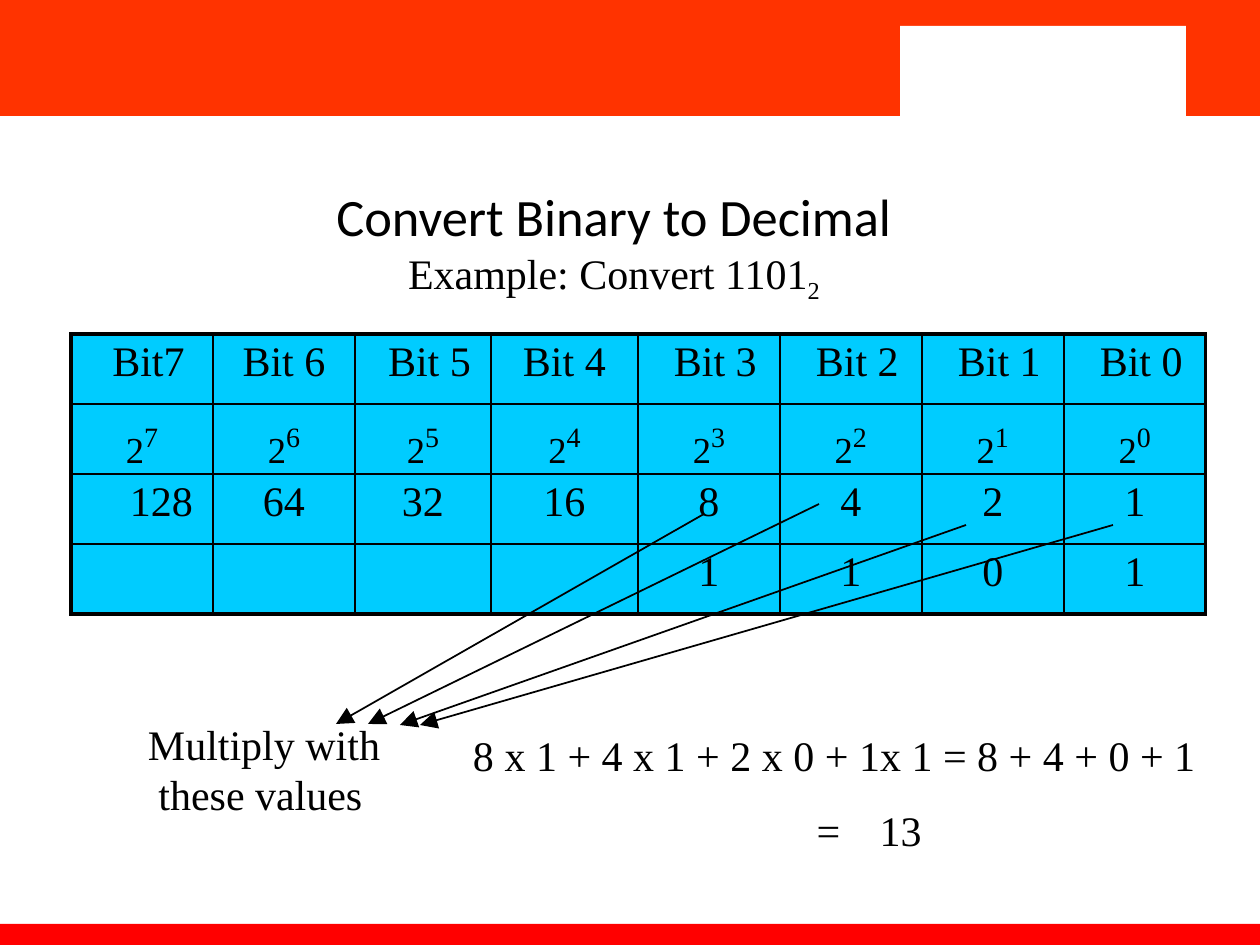
from lxml import etree
from pptx import Presentation
from pptx.dml.color import RGBColor
from pptx.enum.shapes import MSO_CONNECTOR, MSO_SHAPE
from pptx.enum.text import MSO_ANCHOR, MSO_AUTO_SIZE, PP_ALIGN
from pptx.oxml.ns import qn
from pptx.util import Pt

PX = 914400 / 126
RECT = MSO_SHAPE.RECTANGLE
LINE = MSO_CONNECTOR.STRAIGHT
LEFT, MID = PP_ALIGN.LEFT, PP_ALIGN.CENTER
TOP, CENTER = MSO_ANCHOR.TOP, MSO_ANCHOR.MIDDLE
GROW = MSO_AUTO_SIZE.SHAPE_TO_FIT_TEXT

BLACK = RGBColor(0x00, 0x00, 0x00)
WHITE = RGBColor(0xFF, 0xFF, 0xFF)
ORANGE = RGBColor(0xFF, 0x33, 0x00)
RED = RGBColor(0xFF, 0x00, 0x00)
CYAN = RGBColor(0x00, 0xCC, 0xFF)

SERIF, SANS = "Times New Roman", "Calibri"
THIN, THICK = 1, 2.25
BASE = {"name": SERIF, "size": Pt(24), "bold": False}


def emu(px):
    return round(px * PX)


def apply(item, form):
    for key, value in form.items():
        setattr(item, key, value)


class Deck:
    """Holds the presentation, its current slide and the shared style."""

    def __init__(self, wide, high):
        self.prs = Presentation()
        apply(self.prs, {"slide_width": emu(wide), "slide_height": emu(high)})
        self.slide = self.prs.slides.add_slide(self.prs.slide_layouts[5])
        self.shapes = self.slide.shapes

    def rect(self, box, color):
        shape = self.shapes.add_shape(RECT, *map(emu, box))
        shape.shadow.inherit = False
        shape.fill.solid()
        shape.fill.fore_color.rgb = color
        shape.line.fill.background()

    def run(self, para, text, base=0, **form):
        """Add a run; base is its shift from the baseline in percent."""
        run = para.add_run()
        run.text = text
        apply(run.font, {**BASE, **form})
        run.font.color.rgb = BLACK
        if base:
            run.font._element.set("baseline", str(base * 1000))

    def para(self, para, indent=0, **form):
        apply(para, form)
        props = para._p.get_or_add_pPr()
        props.set("marL", str(emu(indent)))
        props.set("indent", "0")
        return para

    def frame(self, shape, box, inset, anchor=TOP):
        """Place a text shape and set its frame, which is returned."""
        apply(shape, dict(zip(("left", "top", "width", "height"), map(emu, box))))
        frame = shape.text_frame
        apply(frame, {"margin_left": 0, "margin_right": 0, "margin_bottom": 0,
                      "margin_top": emu(inset), "word_wrap": True,
                      "auto_size": GROW, "vertical_anchor": anchor})
        return frame

    def title(self, box, head, sub, low):
        frame = self.frame(self.shapes.title, box, 21, CENTER)
        para = self.para(frame.paragraphs[0], 142, alignment=MID)
        self.run(para, head, name=SANS, size=Pt(30))
        para.add_line_break()
        self.run(para, sub)
        self.run(para, low, -25)

    def text(self, box, inset):
        return self.frame(self.shapes.add_textbox(0, 0, 0, 0), box, inset)

    def arrow(self, start, end):
        line = self.shapes.add_connector(LINE, *map(emu, start + end))
        line.line.color.rgb = BLACK
        line.line.width = Pt(THIN)
        etree.SubElement(line.line._get_or_add_ln(), qn("a:tailEnd"),
                         type="triangle", w="lg", len="lg")
        etree.SubElement(line._element.spPr, qn("a:effectLst"))

    def border(self, cell, widths):
        """Draw the left, right, top and bottom borders of a cell."""
        props = cell._tc.get_or_add_tcPr()
        for side, width in zip("LRTB", widths):
            edge = etree.SubElement(props, qn("a:ln" + side), w=str(Pt(width)))
            fill = etree.SubElement(edge, qn("a:solidFill"))
            etree.SubElement(fill, qn("a:srgbClr"), val=str(BLACK))

    def table(self, left, top, cols, high, rows):
        """Rows hold cells, a cell is a pair of its indent and its runs."""
        count = len(rows)
        box = map(emu, (left, top, sum(cols), high * count))
        table = self.shapes.add_table(count, len(cols), *box).table
        apply(table, {"first_row": False, "horz_banding": False})
        for col, wide in zip(table.columns, cols):
            col.width = emu(wide)
        for r, row in enumerate(rows):
            table.rows[r].height = emu(high)
            for c, (indent, runs) in enumerate(row):
                cell = table.cell(r, c)
                outer = (c == 0, c == len(cols) - 1, r == 0, r == count - 1)
                self.border(cell, [THICK if out else THIN for out in outer])
                cell.fill.solid()
                cell.fill.fore_color.rgb = CYAN
                power = len(runs) > 1
                apply(cell, {"margin_left": 0, "margin_right": 0,
                             "margin_bottom": 0, "vertical_anchor": TOP,
                             "margin_top": 0 if power else emu(5)})
                para = self.para(cell.text_frame.paragraphs[0], indent,
                                 alignment=MID)
                if power:
                    para.line_spacing = 0.68
                for text, form in runs:
                    self.run(para, text, **form)


def main():
    deck = Deck(1260, 945)
    for box, color in (((0, 0, 1260, 116), ORANGE),
                       ((0, 924, 1260, 28), RED),
                       ((847, 0, 413, 116), ORANGE),
                       ((900, 26, 286, 95), WHITE)):
        deck.rect(box, color)

    deck.title((60, 149, 966, 170), "Convert Binary to Decimal",
               "Example: Convert 1101", "2")

    bits = range(7, -1, -1)
    names = [(0 if bit in (6, 4) else 13,
              [("Bit7" if bit == 7 else f"Bit {bit}", {})]) for bit in bits]
    powers = [(0, [("2", {"size": Pt(36), "base": -25}),
                   (str(bit), {"size": Pt(16)})]) for bit in bits]
    values = [(39 if bit == 7 else 0, [(str(2 ** bit), {})]) for bit in bits]
    digits = [(0, [(digit, {})] if digit else [])
              for digit in [""] * 4 + list("1101")]
    deck.table(71, 334, (142, 142, 136, 147, 142, 142, 142, 142), 70,
               (names, powers, values, digits))

    note = deck.text((147, 717, 236, 105), 1)
    para = deck.para(note.paragraphs[0], 1, alignment=LEFT)
    deck.run(para, "Multiply with")
    para.add_line_break()
    deck.run(para, " these values")

    sums = deck.text((472, 703, 726, 155), 26)
    deck.run(deck.para(sums.paragraphs[0], 1, alignment=LEFT),
             "8 x 1 + 4 x 1 + 2 x 0 + 1x 1 = 8 + 4 + 0 + 1")
    deck.run(deck.para(sums.add_paragraph(), 68, alignment=MID,
                       space_before=Pt(14.4)), "=\t13")

    for start, end in (((704, 514), (336, 724)), ((819, 504), (368, 724)),
                       ((966, 525), (400, 725)), ((1113, 525), (420, 725))):
        deck.arrow(start, end)

    deck.prs.save("out.pptx")


if __name__ == "__main__":
    main()
